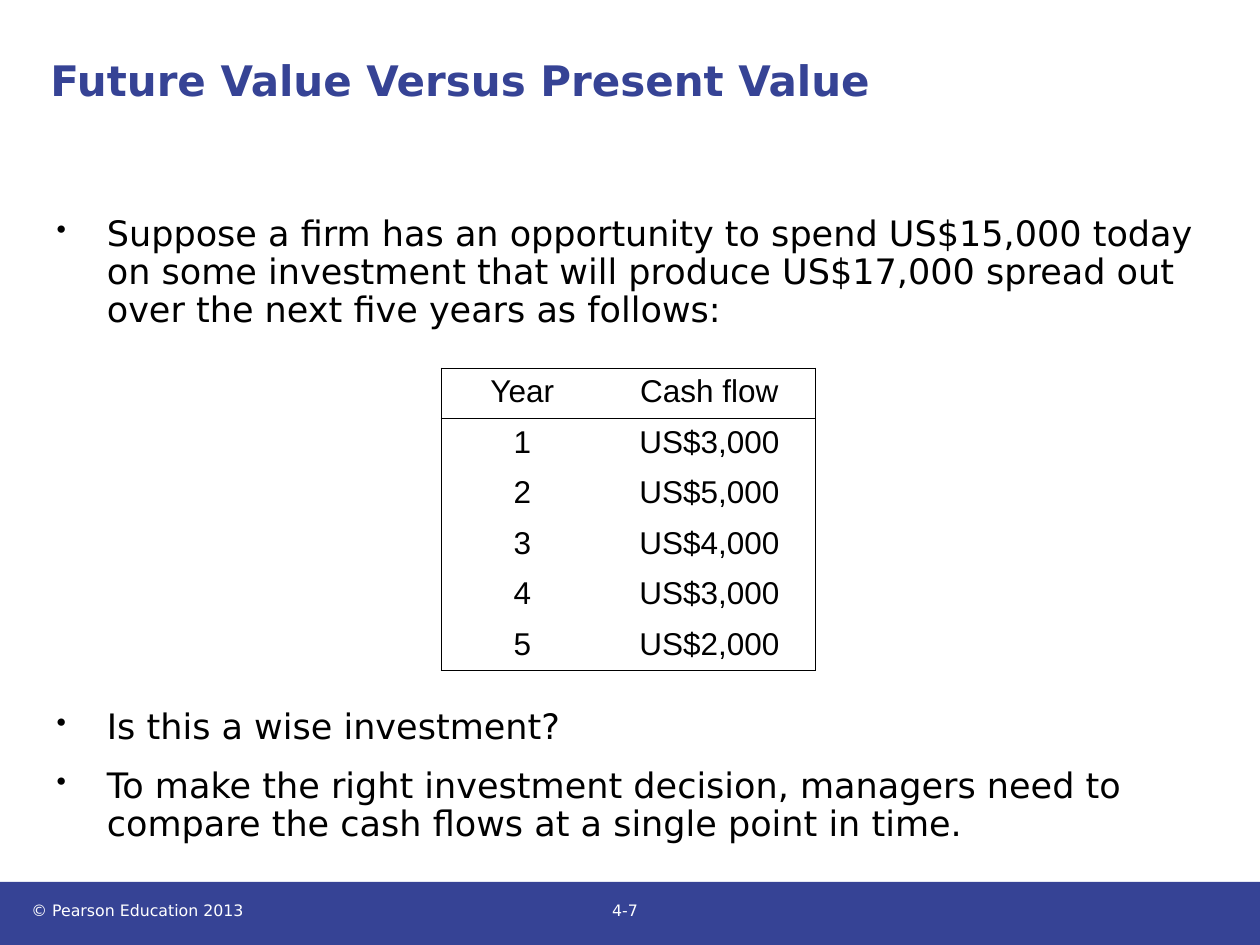
from dataclasses import dataclass

from lxml.etree import SubElement
from pptx import Presentation
from pptx.dml.color import RGBColor as Color
from pptx.enum.shapes import MSO_SHAPE as Preset
from pptx.enum.text import PP_ALIGN as Align
from pptx.oxml import parse_xml
from pptx.oxml.ns import nsdecls, qn
from pptx.slide import Slide
from pptx.table import _Cell as Cell
from pptx.text.text import _Paragraph as Paragraph
from pptx.util import Inches, Pt


@dataclass(frozen=True)
class Theme:
    blue: Color = Color(0x36, 0x43, 0x95)
    black: Color = Color(0, 0, 0)
    white: Color = Color(255, 255, 255)
    text_font: str = "DejaVu Sans"
    table_font: str = "Arial"
    title_size: float = 24
    body_size: float = 20
    table_size: float = 18
    footer_size: float = 9
    border_width: float = 0.45


@dataclass(frozen=True)
class Area:
    left: float
    top: float
    width: float
    height: float

    def lengths(self) -> tuple:
        return tuple(Inches(v) for v in (self.left, self.top, self.width, self.height))


@dataclass(frozen=True)
class Bullet:
    text: str
    space_before: float = 0


THEME = Theme()
BULLETS = (
    Bullet(
        "Suppose a firm has an opportunity to spend US$15,000 today on some "
        "investment that will produce US$17,000 spread out over the next five "
        "years as follows:"
    ),
    Bullet("Is this a wise investment?", 216.5),
    Bullet(
        "To make the right investment decision, managers need to compare the "
        "cash flows at a single point in time.",
        12.5,
    ),
)
CASH_FLOWS = (
    ("Year", "Cash flow"),
    ("1", "US$3,000"),
    ("2", "US$5,000"),
    ("3", "US$4,000"),
    ("4", "US$3,000"),
    ("5", "US$2,000"),
)
COLUMN_WIDTHS = (1.29, 1.68)
ROW_HEIGHT = 0.4


def write(para: Paragraph, text: str, *, size: float, color: Color = THEME.black,
          font: str = THEME.text_font, bold: bool = False,
          align: Align = Align.LEFT) -> None:
    para.alignment = align
    span = para.add_run()
    span.text = text
    span.font.size = Pt(size)
    span.font.name = font
    span.font.bold = bold
    span.font.color.rgb = color


def add_text_frame(slide: Slide, area: Area, margins: tuple):
    frame = slide.shapes.add_textbox(*area.lengths()).text_frame
    frame.word_wrap = True
    (frame.margin_left, frame.margin_top,
     frame.margin_right, frame.margin_bottom) = map(Inches, margins)
    return frame


def add_label(slide: Slide, area: Area, text: str, margins: tuple = (0, 0, 0, 0),
              **style) -> None:
    write(add_text_frame(slide, area, margins).paragraphs[0], text, **style)


def add_band(slide: Slide, area: Area) -> None:
    band = slide.shapes.add_shape(Preset.RECTANGLE, *area.lengths())
    band.shadow.inherit = False
    band.fill.solid()
    band.fill.fore_color.rgb = THEME.blue
    band.line.fill.background()


def add_bullets(slide: Slide, area: Area, bullets: tuple) -> None:
    frame = add_text_frame(slide, area, (0.1, 0.05, 0.1, 0.05))
    for index, bullet in enumerate(bullets):
        para = frame.add_paragraph() if index else frame.paragraphs[0]
        para.line_spacing = 0.9
        para.space_before = Pt(bullet.space_before)
        properties = para._p.get_or_add_pPr()
        properties.set("marL", str(Inches(0.4)))
        properties.set("indent", str(-Inches(0.4)))
        color = SubElement(properties, qn("a:buClr"))
        SubElement(color, qn("a:srgbClr"), val=str(THEME.black))
        SubElement(properties, qn("a:buSzPct"), val="80000")
        SubElement(properties, qn("a:buChar"), char="•")
        write(para, bullet.text, size=THEME.body_size)


def set_borders(cell: Cell, sides: str) -> None:
    properties = cell._tc.get_or_add_tcPr()
    for index, side in enumerate("LRTB"):
        paint = (f'<a:solidFill><a:srgbClr val="{THEME.black}"/></a:solidFill>'
                 if side in sides else "<a:noFill/>")
        properties.insert(index, parse_xml(
            f'<a:ln{side} {nsdecls("a")} w="{Pt(THEME.border_width)}">{paint}</a:ln{side}>'
        ))


def add_cash_flow_table(slide: Slide, area: Area, rows: tuple) -> None:
    table = slide.shapes.add_table(len(rows), len(COLUMN_WIDTHS), *area.lengths()).table
    table.first_row = table.horz_banding = False
    for column, width in zip(table.columns, COLUMN_WIDTHS):
        column.width = Inches(width)
    for row_index, values in enumerate(rows):
        table.rows[row_index].height = Inches(ROW_HEIGHT)
        edges = {0: "TB", 1: "T", len(rows) - 1: "B"}.get(row_index, "")
        for column_index, value in enumerate(values):
            cell = table.cell(row_index, column_index)
            cell.fill.background()
            set_borders(cell, edges + "LR"[column_index])
            write(cell.text_frame.paragraphs[0], value, size=THEME.table_size,
                  font=THEME.table_font, align=Align.CENTER)


def main() -> None:
    deck = Presentation()
    deck.slide_width, deck.slide_height = Inches(10), Inches(7.5)
    page = deck.slides.add_slide(deck.slide_layouts[6])

    add_band(page, Area(0, 7, 10, 0.5))
    add_bullets(page, Area(0.35, 1.67, 9.48, 5.08), BULLETS)
    add_label(page, Area(0.4, 0.43, 9, 0.55), "Future Value Versus Present Value",
              (0, 0, 0.1, 0.05), size=THEME.title_size, color=THEME.blue, bold=True)
    add_cash_flow_table(
        page,
        Area(3.5, 2.92, sum(COLUMN_WIDTHS), ROW_HEIGHT * len(CASH_FLOWS)),
        CASH_FLOWS,
    )
    add_label(page, Area(4.72, 7.15, 0.48, 0.22), "4-7",
              size=THEME.footer_size, color=THEME.white, align=Align.CENTER)
    add_label(page, Area(0.25, 7.15, 4.13, 0.21), "© Pearson Education 2013",
              size=THEME.footer_size, color=THEME.white)
    deck.save("out.pptx")


if __name__ == "__main__":
    main()
